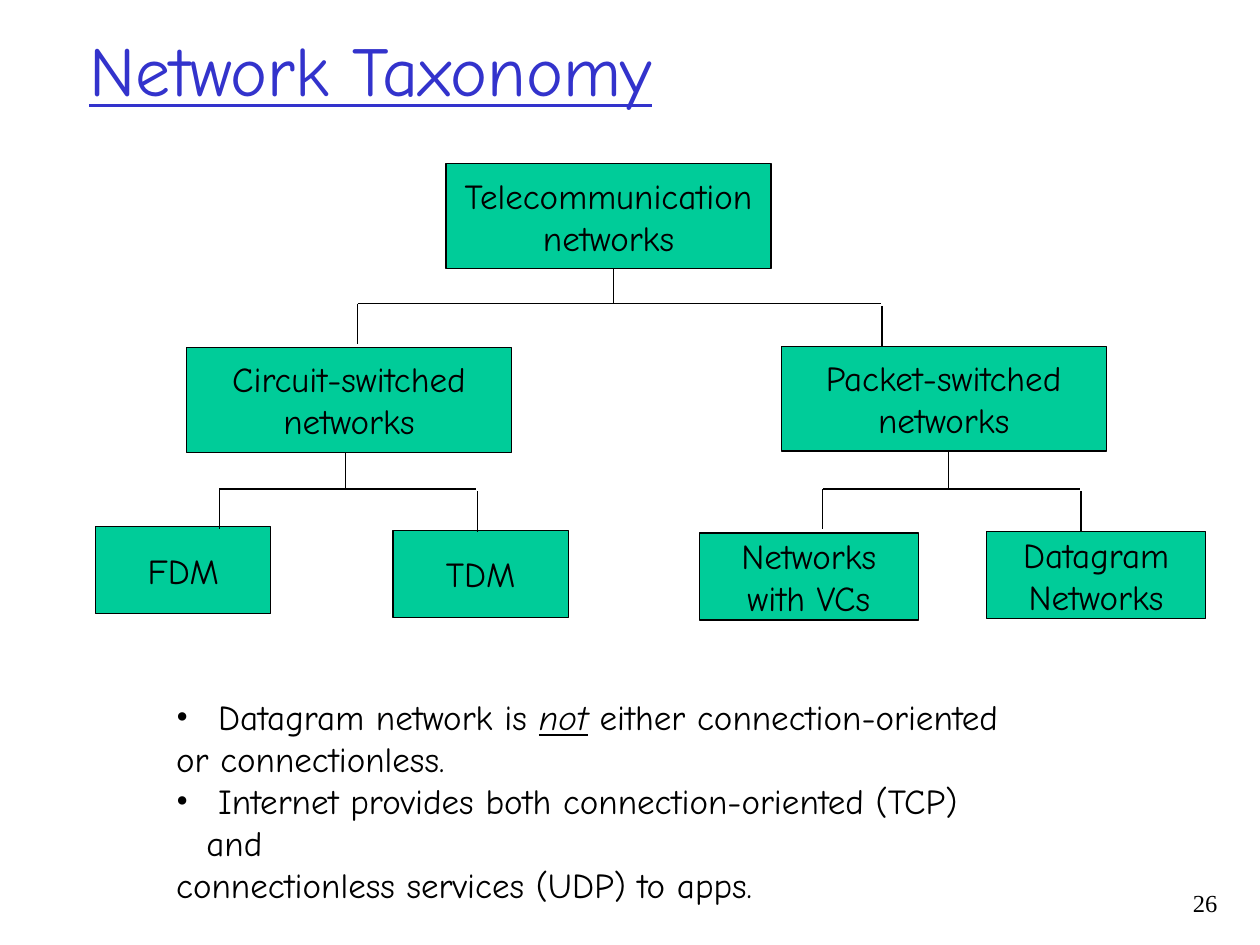
from lxml.etree import SubElement
from pptx import Presentation
from pptx.dml.color import RGBColor
from pptx.enum.shapes import MSO_CONNECTOR, MSO_SHAPE
from pptx.enum.text import MSO_ANCHOR, PP_ALIGN
from pptx.oxml.ns import qn
from pptx.util import Inches, Pt

CELL = 0.1  # the slide is a grid of 100 columns by 75 rows


def grid(*cells):
    return [Inches(cell * CELL) for cell in cells]


def color(hex_string):
    return RGBColor.from_string(hex_string)


class TaxonomySlide:
    FONT = "Comic Neue"
    INK, BLUE, GREEN = "000000", "3333CC", "00CC99"
    LINE = Pt(0.75)

    def __init__(self, presentation):
        self.slide = presentation.slides.add_slide(presentation.slide_layouts[6])
        self.shapes = self.slide.shapes

    def style(self, run, size=20, font=FONT, ink=INK):
        run.font.size = Pt(size)
        run.font.name = font
        run.font.color.rgb = color(ink)

    def text(self, place, words, anchor=MSO_ANCHOR.TOP, align=PP_ALIGN.LEFT, **style):
        """Add a text box with one paragraph for each line of words."""
        frame = self.shapes.add_textbox(*grid(*place)).text_frame
        frame.word_wrap = True
        frame.vertical_anchor = anchor
        self.fill_frame(frame, words, align, **style)
        return frame

    def fill_frame(self, frame, words, align, **style):
        frame.text = words
        for paragraph in frame.paragraphs:
            paragraph.alignment = align
            for run in paragraph.runs:
                self.style(run, **style)

    def title(self, place, words):
        frame = self.text(place, words, MSO_ANCHOR.MIDDLE, size=40, ink=self.BLUE)
        frame.paragraphs[0].runs[0].font.underline = True

    def box(self, place, words):
        box = self.shapes.add_shape(MSO_SHAPE.RECTANGLE, *grid(*place))
        box.shadow.inherit = False
        box.fill.solid()
        box.fill.fore_color.rgb = color(self.GREEN)
        box.line.color.rgb = color(self.INK)
        box.line.width = self.LINE
        box.text_frame.word_wrap = False
        box.text_frame.vertical_anchor = MSO_ANCHOR.MIDDLE
        self.fill_frame(box.text_frame, words, PP_ALIGN.CENTER)

    def line(self, *ends):
        line = self.shapes.add_connector(MSO_CONNECTOR.STRAIGHT, *grid(*ends))
        line.line.color.rgb = color(self.INK)
        line.line.width = self.LINE
        SubElement(line._element.spPr, qn("a:effectLst"))

    def fork(self, stem, top, bar, left_reach, right_reach):
        """Draw a stem down to a bar with a drop at each end."""
        drop = 3.2
        left, right = stem - left_reach, stem + right_reach
        self.line(stem, top, stem, bar)
        self.line(left, bar, right - 0.1, bar)
        self.line(left, bar, left, bar + drop)
        self.line(right, bar + 0.2, right, bar + 0.2 + drop)

    def notes(self, place, items):
        """Add paragraphs from (bulleted, pieces); a piece is (words, stressed)."""
        frame = self.text(place, "")
        for number, (bulleted, pieces) in enumerate(items):
            paragraph = frame.add_paragraph() if number else frame.paragraphs[0]
            if bulleted:
                self.bullet(paragraph)
            for words, stressed in pieces:
                run = paragraph.add_run()
                run.text = words
                self.style(run)
                if stressed:
                    run.font.italic = run.font.underline = True

    def bullet(self, paragraph):
        hang = Inches(0.24)
        properties = paragraph._p.get_or_add_pPr()
        properties.set("marL", str(hang))
        properties.set("indent", str(-hang))
        tint = SubElement(properties, qn("a:buClr"))
        SubElement(tint, qn("a:srgbClr"), val=self.INK)
        SubElement(properties, qn("a:buFont"), typeface="Times New Roman")
        SubElement(properties, qn("a:buChar"), char="•")


def main():
    presentation = Presentation()
    presentation.slide_width, presentation.slide_height = grid(100, 75)
    taxonomy = TaxonomySlide(presentation)
    taxonomy.title((6.1, 0, 85, 10.9), "Network Taxonomy")

    family, multiplexing, packet_kind = (25.8, 8.3), (13.9, 6.9), (17.4, 6.9)
    for left, top, size, words in (
        (35.4, 13, family, "Telecommunication\nnetworks"),
        (14.8, 27.6, family, "Circuit-switched\nnetworks"),
        (62, 27.5, family, "Packet-switched\nnetworks"),
        (7.6, 41.8, multiplexing, "FDM"),
        (31.2, 42.1, multiplexing, "TDM"),
        (55.5, 42.3, packet_kind, "Networks\nwith VCs"),
        (78.3, 42.2, packet_kind, "Datagram\nNetworks"),
    ):
        taxonomy.box((left, top, *size), words)

    taxonomy.fork(48.7, 21.3, 24.1, 20.3, 21.3)
    for stem in (27.4, 75.3):
        taxonomy.fork(stem, 35.9, 38.8, 10, 10.5)

    taxonomy.notes((13, 54.7, 68, 14.4), (
        (True, ((" Datagram network is ", False), ("not", True),
                (" either connection-oriented", False))),
        (False, (("or connectionless.", False),)),
        (True, ((" Internet provides both connection-oriented (TCP) and", False),)),
        (False, (("connectionless services (UDP) to apps.", False),)),
    ))
    taxonomy.text((90.8, 70, 6.8, 5), "26", align=PP_ALIGN.RIGHT,
                  size=14, font="Times New Roman")
    presentation.save("out.pptx")


if __name__ == "__main__":
    main()
